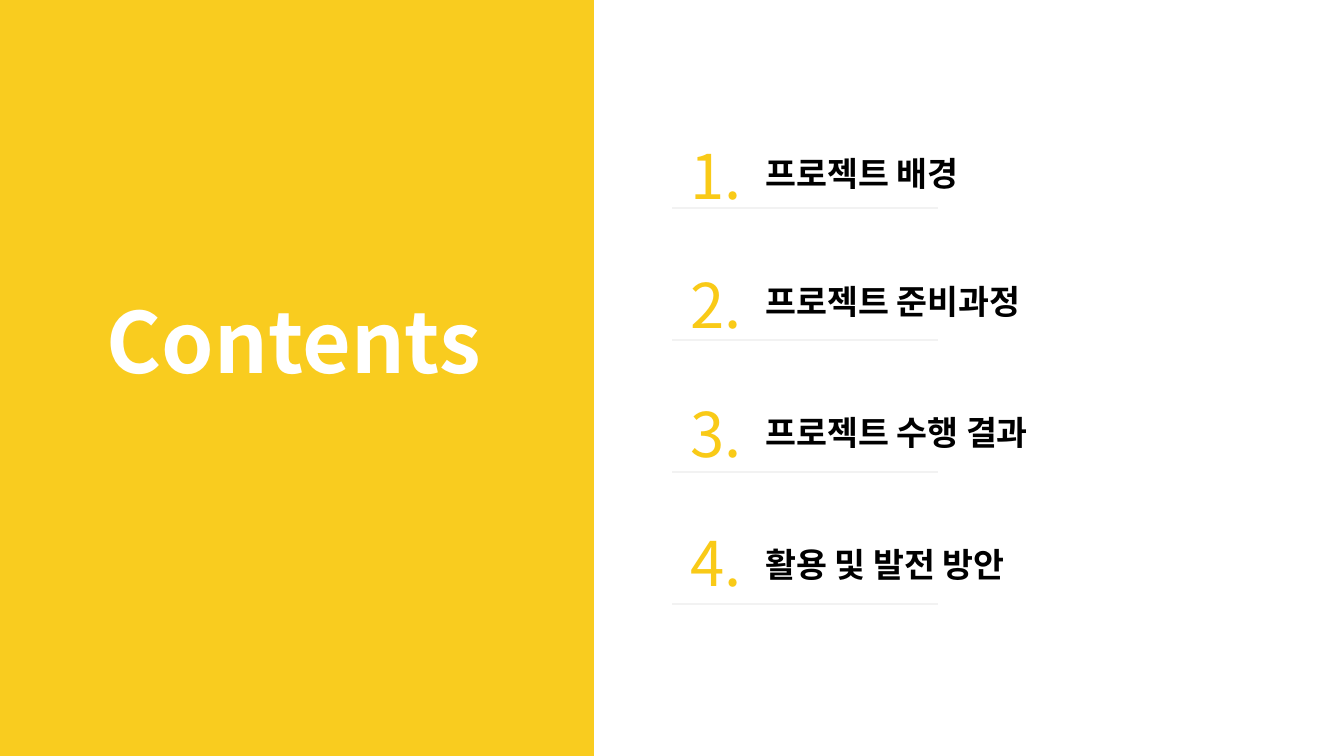
"""Build a contents slide with a title panel and four numbered entries."""
from dataclasses import dataclass

from lxml.etree import SubElement
from pptx import Presentation
from pptx.dml.color import RGBColor
from pptx.enum.shapes import MSO_CONNECTOR as Connector, MSO_SHAPE as Preset
from pptx.enum.text import MSO_AUTO_SIZE as AutoSize
from pptx.oxml.ns import qn
from pptx.slide import Slide
from pptx.util import Emu, Pt

EMU_PER_PX = 9144
SLIDE_WIDTH, SLIDE_HEIGHT = 1333, 750
PANEL_WIDTH = 589
NUMBER_LEFT, NUMBER_TOP, NUMBER_PITCH = 678, 133, 128
RULE_LEFT, RULE_RIGHT, RULE_TOP, RULE_PITCH = 667, 930, 206, 131
LABEL_LEFT = 752


@dataclass(frozen=True)
class TextStyle:
    size: int
    color: RGBColor
    bold: bool = False


@dataclass(frozen=True)
class Theme:
    font: str = "Noto Sans CJK KR"
    panel: RGBColor = RGBColor(0xF9, 0xCC, 0x1F)
    rule: RGBColor = RGBColor(0xF2, 0xF2, 0xF2)
    rule_weight: float = 1.5
    title: TextStyle = TextStyle(60, RGBColor(0xFF, 0xFF, 0xFF), True)
    number: TextStyle = TextStyle(44, RGBColor(0xF9, 0xCA, 0x17))
    label: TextStyle = TextStyle(24, RGBColor(0, 0, 0), True)


@dataclass(frozen=True)
class Box:
    left: int
    top: int
    width: int
    height: int


@dataclass(frozen=True)
class Entry:
    label: str
    label_top: int
    label_width: int


THEME = Theme()
ENTRIES = (
    Entry("프로젝트 배경", 148, 247),
    Entry("프로젝트 준비과정", 275, 325),
    Entry("프로젝트 수행 결과", 405, 314),
    Entry("활용 및 발전 방안", 536, 349),
)


def px(length: int) -> Emu:
    return Emu(length * EMU_PER_PX)


def add_panel(slide: Slide, box: Box) -> None:
    shape = slide.shapes.add_shape(
        Preset.RECTANGLE, px(box.left), px(box.top), px(box.width), px(box.height)
    )
    shape.shadow.inherit = False
    shape.fill.solid()
    shape.fill.fore_color.rgb = THEME.panel
    shape.line.fill.background()


def add_text(slide: Slide, text: str, box: Box, style: TextStyle) -> None:
    shape = slide.shapes.add_textbox(
        px(box.left), px(box.top), px(box.width), px(box.height)
    )
    frame = shape.text_frame
    frame.word_wrap = True
    frame.auto_size = AutoSize.SHAPE_TO_FIT_TEXT
    frame.margin_left = frame.margin_right = px(7)
    frame.margin_top = frame.margin_bottom = px(4)
    paragraph = frame.paragraphs[0]
    paragraph.text = text
    font = paragraph.font
    font.name = THEME.font
    font.size = Pt(style.size)
    font.bold = style.bold
    font.color.rgb = style.color
    properties = paragraph._p.get_or_add_pPr().find(qn("a:defRPr"))
    SubElement(properties, qn("a:ea"), typeface=THEME.font)


def add_rule(slide: Slide, top: int) -> None:
    connector = slide.shapes.add_connector(
        Connector.STRAIGHT, px(RULE_LEFT), px(top), px(RULE_RIGHT), px(top)
    )
    connector.line.color.rgb = THEME.rule
    connector.line.width = Pt(THEME.rule_weight)
    SubElement(connector._element.spPr, qn("a:effectLst"))


def add_entry(slide: Slide, index: int, entry: Entry) -> None:
    number_box = Box(NUMBER_LEFT, NUMBER_TOP + index * NUMBER_PITCH, 97, 82)
    label_box = Box(LABEL_LEFT, entry.label_top, entry.label_width, 48)
    add_rule(slide, RULE_TOP + index * RULE_PITCH)
    add_text(slide, f"{index + 1}.", number_box, THEME.number)
    add_text(slide, entry.label, label_box, THEME.label)


def main() -> None:
    presentation = Presentation()
    presentation.slide_width = px(SLIDE_WIDTH)
    presentation.slide_height = px(SLIDE_HEIGHT)
    slide = presentation.slides.add_slide(presentation.slide_layouts[6])
    add_panel(slide, Box(0, 0, PANEL_WIDTH, SLIDE_HEIGHT))
    add_text(slide, "Contents", Box(99, 283, 416, 109), THEME.title)
    for index, entry in enumerate(ENTRIES):
        add_entry(slide, index, entry)
    presentation.save("out.pptx")


if __name__ == "__main__":
    main()
